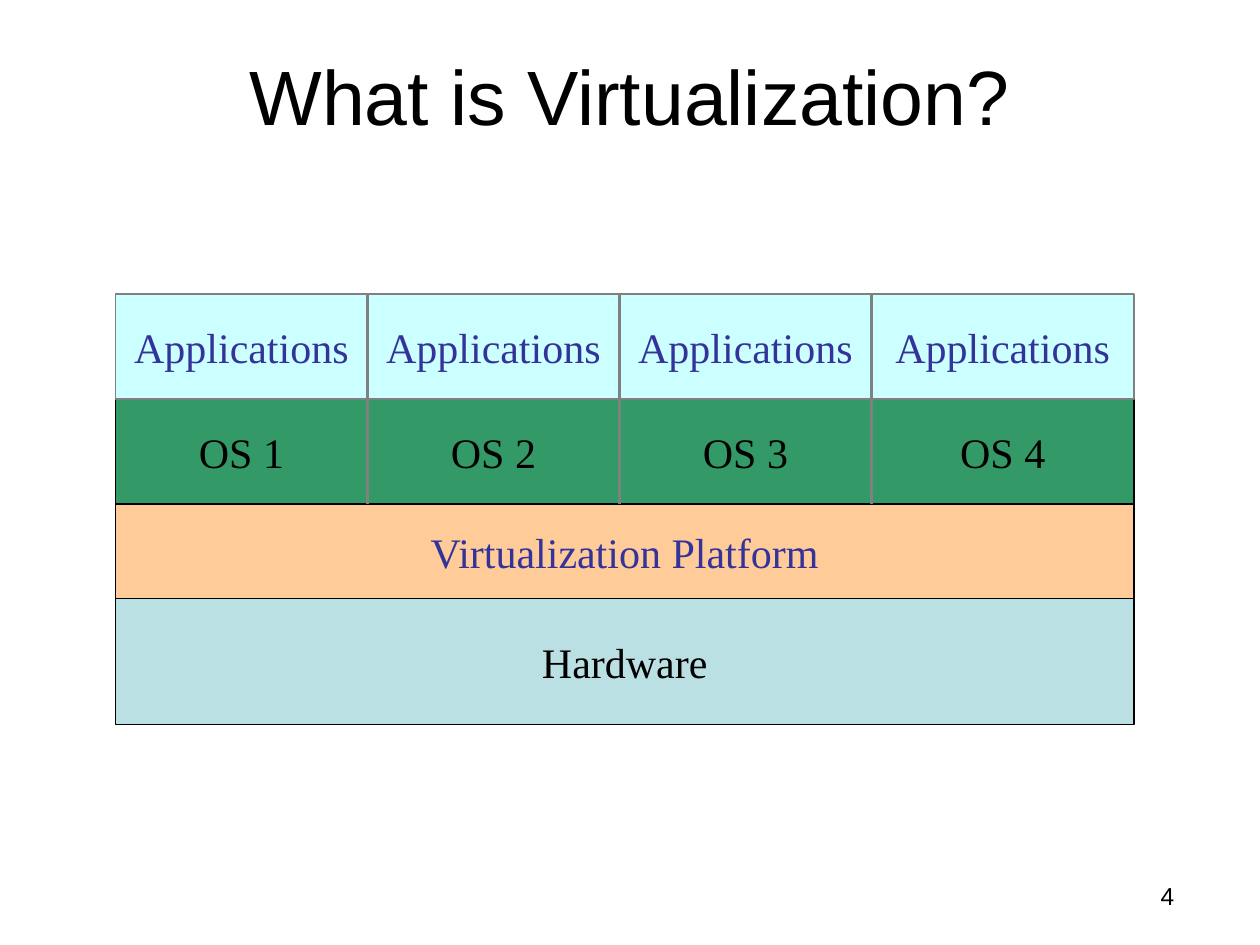
import itertools
from dataclasses import dataclass

import pptx
import pptx.dml.color
import pptx.enum.shapes
import pptx.enum.text
import pptx.oxml
import pptx.oxml.ns
import pptx.slide
import pptx.text.text
import pptx.util

RGBColor = pptx.dml.color.RGBColor
Align = pptx.enum.text.PP_ALIGN
Anchor = pptx.enum.text.MSO_ANCHOR

BLACK = RGBColor(0x00, 0x00, 0x00)
GRAY = RGBColor(0x80, 0x80, 0x80)
INDIGO = RGBColor(0x33, 0x33, 0x99)
CYAN = RGBColor(0xCC, 0xFF, 0xFF)
GREEN = RGBColor(0x33, 0x99, 0x66)
PEACH = RGBColor(0xFF, 0xCC, 0x99)
PALE_BLUE = RGBColor(0xBB, 0xE0, 0xE3)

# The slide is a grid of 120 columns by 90 rows
CELL = pptx.util.Inches(1) // 12
SLIDE_COLS, SLIDE_ROWS = 120, 90
STACK_COLS = [11, 35, 59, 83, 108]  # edges of the four virtual machines


@dataclass(frozen=True)
class Layer:
    labels: list[str]
    top: int
    bottom: int
    fill: RGBColor
    border: RGBColor
    ink: RGBColor


LAYERS = [
    Layer(["Hardware"], 57, 69, PALE_BLUE, BLACK, BLACK),
    Layer(["Virtualization Platform"], 48, 57, PEACH, BLACK, INDIGO),
    Layer([f"OS {n}" for n in range(1, 5)], 38, 48, GREEN, BLACK, BLACK),
    Layer(["Applications"] * 4, 28, 38, CYAN, GRAY, INDIGO),
]


def write(frame: pptx.text.text.TextFrame, text: str, font: str, size: int,
          color: RGBColor, align: Align, anchor: Anchor, wrap: bool) -> None:
    frame.word_wrap = wrap
    frame.vertical_anchor = anchor
    line = frame.paragraphs[0]
    line.text = text
    line.alignment = align
    line.font.name = font
    line.font.size = pptx.util.Pt(size)
    line.font.color.rgb = color


def add_label(slide: pptx.slide.Slide, text: str, col: float, row: float,
              cols: float, rows: float, size: int, align: Align, anchor: Anchor) -> None:
    label = slide.shapes.add_textbox(*(round(n * CELL) for n in (col, row, cols, rows)))
    write(label.text_frame, text, "Arial", size, BLACK, align, anchor, True)


def add_layer(slide: pptx.slide.Slide, layer: Layer) -> None:
    """Draw one layer, as a single block or one block per virtual machine."""
    edges = STACK_COLS if len(layer.labels) > 1 else [STACK_COLS[0], STACK_COLS[-1]]
    for text, (left, right) in zip(layer.labels, itertools.pairwise(edges)):
        block = slide.shapes.add_shape(
            pptx.enum.shapes.MSO_SHAPE.RECTANGLE, left * CELL, layer.top * CELL,
            (right - left) * CELL, (layer.bottom - layer.top) * CELL)
        block.shadow.inherit = False
        block.fill.solid()
        block.fill.fore_color.rgb = layer.fill
        block.line.color.rgb = layer.border
        block.line.width = pptx.util.Pt(0.75)
        write(block.text_frame, text, "Times New Roman", 24, layer.ink,
              Align.CENTER, Anchor.MIDDLE, False)


def add_divider(slide: pptx.slide.Slide, col: int, top: int, bottom: int) -> None:
    divider = slide.shapes.add_connector(
        pptx.enum.shapes.MSO_CONNECTOR.STRAIGHT,
        col * CELL, top * CELL, col * CELL, bottom * CELL)
    divider.line.color.rgb = GRAY
    divider.line.width = pptx.util.Pt(2.25)
    # An empty effect list removes the theme shadow
    divider._element.spPr.append(
        pptx.oxml.parse_xml(f"<a:effectLst {pptx.oxml.ns.nsdecls('a')}/>"))


def main() -> None:
    deck = pptx.Presentation()
    deck.slide_width = SLIDE_COLS * CELL
    deck.slide_height = SLIDE_ROWS * CELL
    slide = deck.slides.add_slide(deck.slide_layouts[6])

    # Page number and title
    add_label(slide, "4", 85, 81, 28, 6.25, 14, Align.RIGHT, Anchor.BOTTOM)
    add_label(slide, "What is Virtualization?", 6, 0, 108, 18, 44,
              Align.CENTER, Anchor.MIDDLE)

    # Stack, from the hardware up
    for layer in LAYERS:
        add_layer(slide, layer)

    # Dividers between the virtual machines
    for col in STACK_COLS[1:-1]:
        add_divider(slide, col, LAYERS[-1].top, LAYERS[-2].bottom)

    deck.save("out.pptx")


if __name__ == "__main__":
    main()
